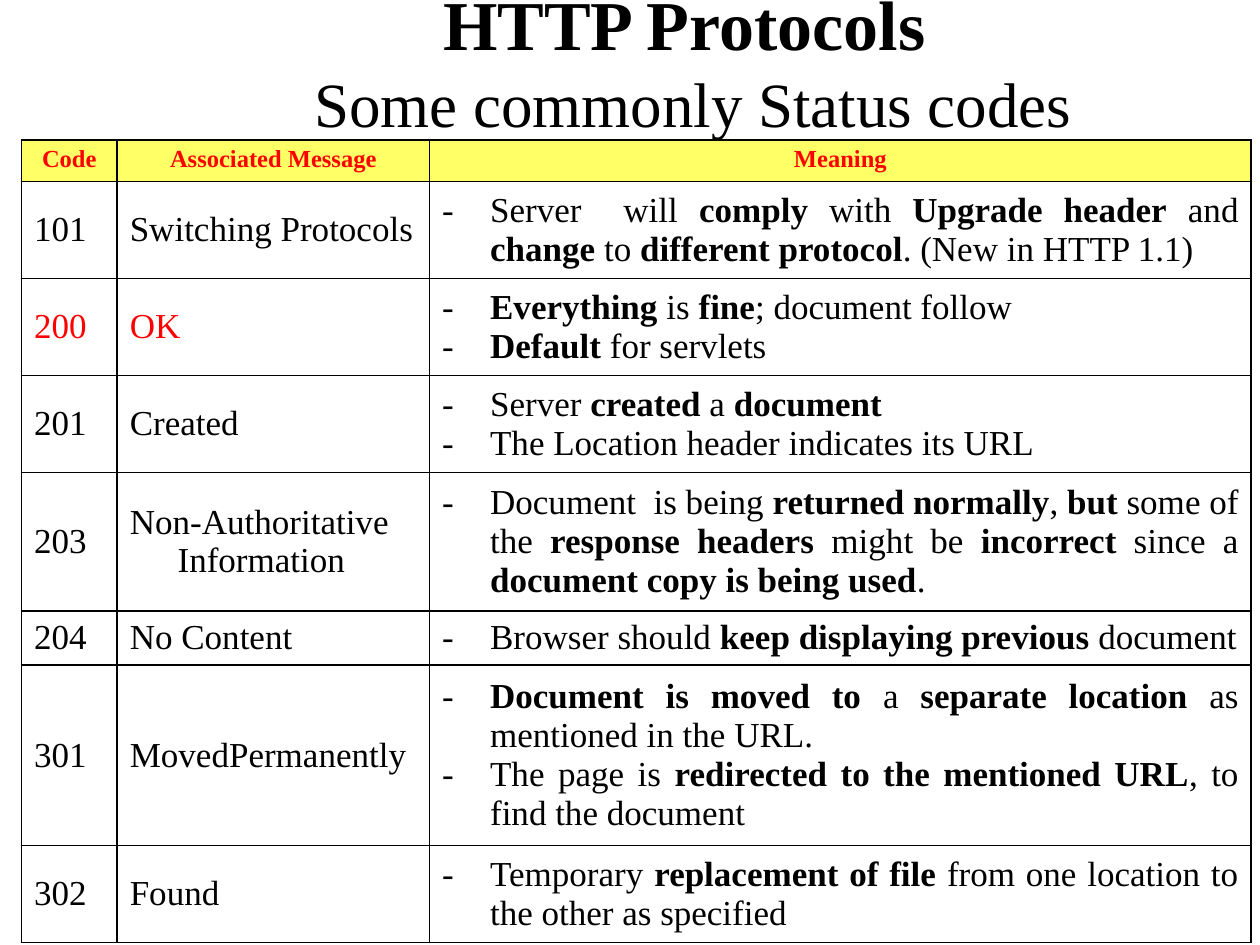
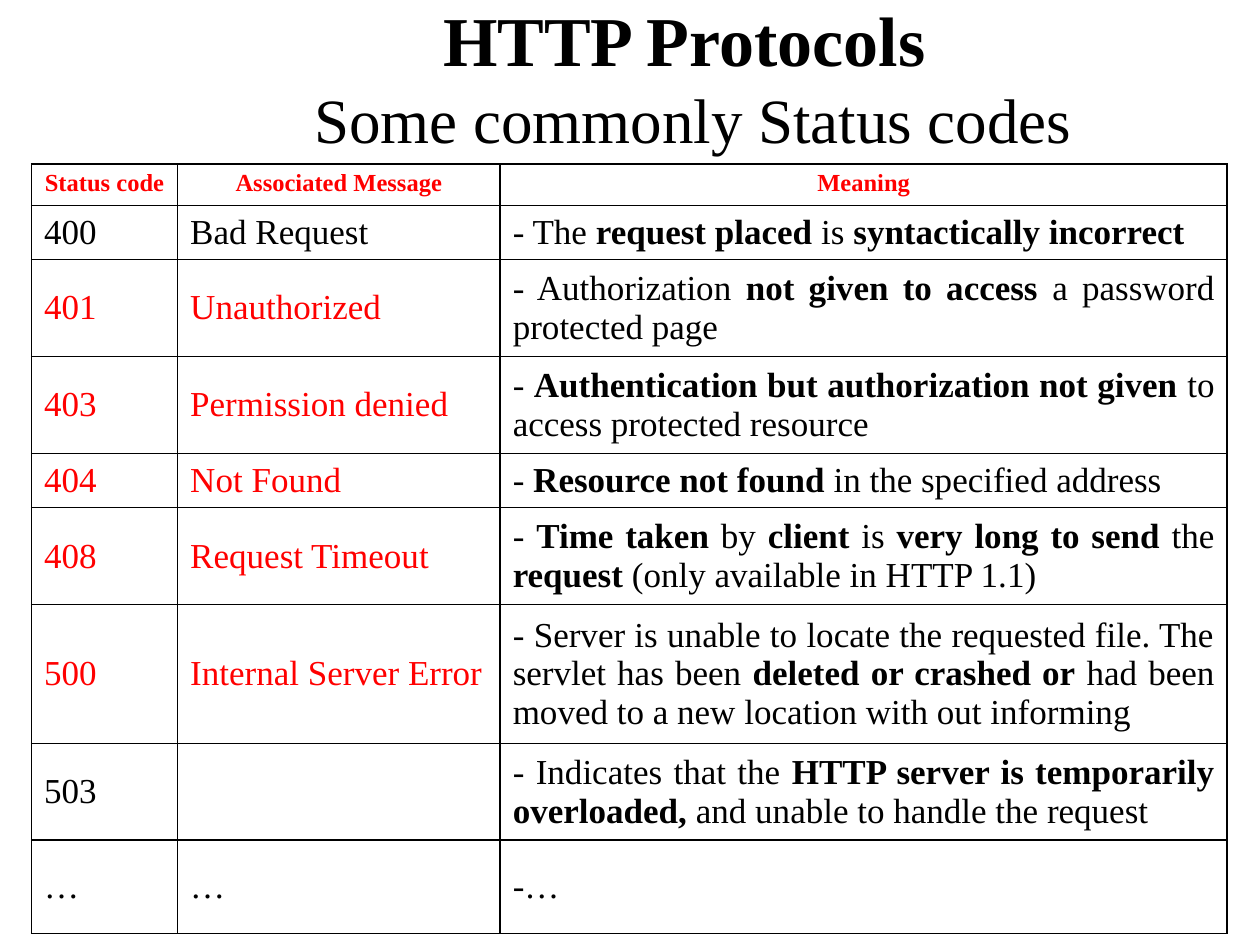
from dataclasses import dataclass

from lxml import etree
from pptx import Presentation
from pptx.dml.color import RGBColor
from pptx.enum import text
from pptx.oxml import ns
from pptx.util import Inches, Pt

FONT = "Times New Roman"
BLACK = RGBColor(0, 0, 0)
RED = RGBColor(255, 0, 0)
YELLOW = RGBColor(255, 255, 102)
WHITE = RGBColor(255, 255, 255)
HANG = Inches(0.38)


@dataclass
class Row:
    """One status code; ** marks bold parts of its notes."""
    height: float
    code: str
    message: str
    notes: list[str]
    red: bool = False


@dataclass
class Page:
    title_height: float
    left: float
    top: float
    widths: list[float]
    label: str
    fill: RGBColor | None
    hang: bool
    rows: list[Row]


PAGES = [
    Page(0.95, 0.17, 1.11, [0.76, 2.48, 6.52], "Code", YELLOW, True, [
        Row(0.77, "101", "Switching Protocols", [
            "Server  will **comply** with **Upgrade header** and **change** to "
            "**different protocol**. (New in HTTP 1.1)"]),
        Row(0.77, "200", "OK", [
            "**Everything** is **fine**; document follow",
            "**Default** for servlets"], True),
        Row(0.77, "201", "Created", [
            "Server **created** a **document**",
            "The Location header indicates its URL"]),
        Row(1.1, "203", "Non-Authoritative Information", [
            "Document  is being **returned normally**, **but** some of the "
            "**response headers** might be **incorrect** since a "
            "**document copy is being used**."]),
        Row(0.43, "204", "No Content", [
            "Browser should **keep displaying previous** document"]),
        Row(1.43, "301", "MovedPermanently", [
            "**Document is moved to** a **separate location** as mentioned in the URL.",
            "The page is **redirected to the mentioned URL**, to find the document"]),
        Row(0.77, "302", "Found", [
            "Temporary **replacement of file** from one location to the other "
            "as specified"]),
    ]),
    Page(1.21, 0.25, 1.3, [1.16, 2.56, 5.77], "Status code", None, False, [
        Row(0.43, "400", "Bad Request", [
            "- The **request placed** is **syntactically incorrect**"]),
        Row(0.77, "401", "Unauthorized", [
            "- Authorization **not given to access** a password protected page"], True),
        Row(0.77, "403", "Permission denied", [
            "- **Authentication but authorization not given** to access "
            "protected resource"], True),
        Row(0.43, "404", "Not Found", [
            "- **Resource not found** in the specified address"], True),
        Row(0.77, "408", "Request Timeout", [
            "- **Time taken** by **client** is **very long to send** the "
            "**request** (only available in HTTP 1.1)"], True),
        Row(1.1, "500", "Internal Server Error", [
            "- Server is unable to locate the requested file. The servlet has been "
            "**deleted or crashed or** had been moved to a new location with out "
            "informing"], True),
        Row(0.77, "503", "", [
            "- Indicates that the **HTTP server is temporarily overloaded,** and "
            "unable to handle the request"]),
        Row(0.74, "…", "…", ["-…"]),
    ]),
]


def style(run, size: int, color: RGBColor, bold: bool) -> None:
    font = run.font
    font.name, font.size, font.bold = FONT, Pt(size), bold
    font.color.rgb = color


def add_title(slide, height: float) -> None:
    title = slide.shapes.title
    title.left, title.top = Inches(1), Inches(0)
    title.width, title.height = Inches(9), Inches(height)
    frame = title.text_frame
    frame.text = "HTTP Protocols \nSome commonly Status codes"
    frame.auto_size = text.MSO_AUTO_SIZE.NONE
    frame.vertical_anchor = text.MSO_ANCHOR.MIDDLE
    for par, size, bold in zip(frame.paragraphs, (40, 36), (True, False)):
        par.alignment = text.PP_ALIGN.CENTER
        par.line_spacing = 1.0
        par.space_before = Pt(0)
        style(par.runs[0], size, BLACK, bold)


def add_borders(cell) -> None:
    props = cell._tc.get_or_add_tcPr()
    for pos, side in enumerate(("lnL", "lnR", "lnT", "lnB")):
        line = etree.Element(ns.qn(f"a:{side}"), w=str(Pt(1)))
        fill = etree.SubElement(line, ns.qn("a:solidFill"))
        etree.SubElement(fill, ns.qn("a:srgbClr"), val=str(BLACK))
        props.insert(pos, line)


def set_cell(cell, lines: list[str], size: int, color: RGBColor, align,
             hang: bool, dash: bool = False, bold: bool = False) -> None:
    """Write lines as paragraphs, with ** switching bold on and off."""
    frame = cell.text_frame
    frame.text = "\n".join(line.replace("**", "") for line in lines)
    for par, line in zip(frame.paragraphs, lines):
        par.alignment = align
        if hang:
            props = par._p.get_or_add_pPr()
            props.set("marL", str(HANG))
            props.set("indent", str(-HANG))
            if dash:
                etree.SubElement(props, ns.qn("a:buFont"), typeface=FONT)
                etree.SubElement(props, ns.qn("a:buChar"), char="-")
        par.text = ""
        for pos, part in enumerate(line.split("**")):
            if part:
                run = par.add_run()
                run.text = part
                style(run, size, color, bold or pos % 2 == 1)


def add_codes(slide, page: Page) -> None:
    heights = [0.33] + [row.height for row in page.rows]
    table = slide.shapes.add_table(
        len(heights), len(page.widths), Inches(page.left), Inches(page.top),
        Inches(sum(page.widths)), Inches(sum(heights))).table
    table.first_row = table.horz_banding = False
    for col, width in zip(table.columns, page.widths):
        col.width = Inches(width)
    for line, height in zip(table.rows, heights):
        line.height = Inches(height)

    for cell in table.iter_cells():
        cell.fill.background()
        cell.vertical_anchor = text.MSO_ANCHOR.MIDDLE
        add_borders(cell)
    for col, label in enumerate((page.label, "Associated Message", "Meaning")):
        cell = table.cell(0, col)
        cell.vertical_anchor = text.MSO_ANCHOR.TOP
        if page.fill is not None:
            cell.fill.solid()
            cell.fill.fore_color.rgb = page.fill
        set_cell(cell, [label], 14, RED, text.PP_ALIGN.CENTER, page.hang, bold=True)
    for pos, row in enumerate(page.rows, 1):
        color = RED if row.red else BLACK
        for col, words in enumerate((row.code, row.message)):
            set_cell(table.cell(pos, col), [words], 20, color,
                     text.PP_ALIGN.LEFT, page.hang)
        set_cell(table.cell(pos, 2), row.notes, 20, BLACK,
                 text.PP_ALIGN.JUSTIFY, page.hang, dash=True)


def main() -> None:
    deck = Presentation()
    deck.slide_width, deck.slide_height = Inches(10), Inches(7.5)
    for page in PAGES:
        slide = deck.slides.add_slide(deck.slide_layouts[5])
        slide.background.fill.solid()
        slide.background.fill.fore_color.rgb = WHITE
        add_title(slide, page.title_height)
        add_codes(slide, page)
    deck.save("out.pptx")


if __name__ == "__main__":
    main()
